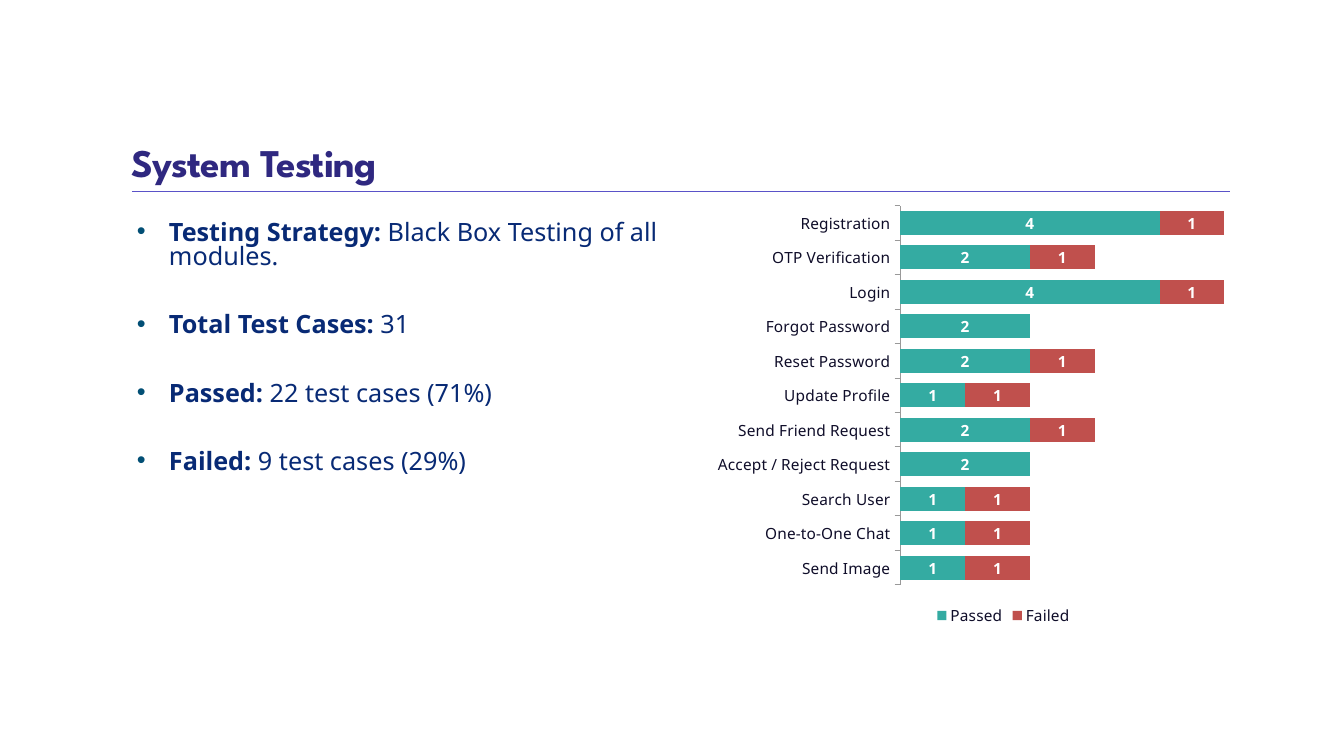
from dataclasses import dataclass

from lxml.etree import SubElement
from pptx import Presentation
from pptx.chart.data import CategoryChartData
from pptx.dml.color import RGBColor as RGB
from pptx.enum.chart import XL_CHART_TYPE as CT, XL_LABEL_POSITION as LP
from pptx.enum.chart import XL_LEGEND_POSITION as LEG, XL_TICK_MARK as TM
from pptx.enum.shapes import MSO_CONNECTOR as CONN
from pptx.enum.text import MSO_ANCHOR as ANCHOR, MSO_AUTO_SIZE as AUTO, PP_ALIGN as ALIGN
from pptx.oxml.ns import qn
from pptx.util import Emu, Pt

# Content
TITLE = "System Testing"
BULLETS = [
    ("Testing Strategy:", " Black Box Testing of all modules."),
    ("Total Test Cases:", " 31"),
    ("Passed:", " 22 test cases (71%)"),
    ("Failed:", " 9 test cases (29%)"),
]
RESULTS = [  # module, passed, failed
    ("Registration", 4, 1),
    ("OTP Verification", 2, 1),
    ("Login", 4, 1),
    ("Forgot Password", 2, 0),
    ("Reset Password", 2, 1),
    ("Update Profile", 1, 1),
    ("Send Friend Request", 2, 1),
    ("Accept / Reject Request", 2, 0),
    ("Search User", 1, 1),
    ("One-to-One Chat", 1, 1),
    ("Send Image", 1, 1),
]


@dataclass(frozen=True)
class Theme:
    head_font: str = "League Spartan"
    body_font: str = "Noto Sans"
    title: RGB = RGB(0x2F, 0x28, 0x80)
    rule: RGB = RGB(0x5A, 0x52, 0xC8)
    body: RGB = RGB(0x08, 0x2A, 0x75)
    bullet: str = "024F75"
    chart_text: RGB = RGB(0x0F, 0x0D, 0x29)
    axis: RGB = RGB(0x99, 0x99, 0x99)
    passed: RGB = RGB(0x34, 0xAB, 0xA2)
    failed: RGB = RGB(0xC0, 0x50, 0x4D)
    label: RGB = RGB(0xFF, 0xFF, 0xFF)
    title_size: Pt = Pt(28)
    body_size: Pt = Pt(18)
    chart_size: Pt = Pt(11)


T = Theme()


def px(n):
    return Emu(round(n * 914400 / 100.8))


def style(font, size, color, name, bold=False):
    font.size, font.name, font.bold = size, name, bold
    font.color.rgb = color


def add_bullet(p):
    pPr = p._p.get_or_add_pPr()
    pPr.set("marL", str(px(64)))
    pPr.set("indent", str(-px(32)))
    SubElement(SubElement(pPr, qn("a:buClr")), qn("a:srgbClr"), val=T.bullet)
    SubElement(pPr, qn("a:buFont"), typeface="Arial")
    SubElement(pPr, qn("a:buChar"), char="•")


prs = Presentation()
prs.slide_width, prs.slide_height = px(1344), px(756)
s = prs.slides.add_slide(prs.slide_layouts[5])

# Title and rule
title = s.shapes.title
title.left, title.top, title.width, title.height = px(121), px(31), px(1109), px(160)
tf = title.text_frame
tf.text = TITLE
tf.auto_size, tf.vertical_anchor = AUTO.NONE, ANCHOR.BOTTOM
p = tf.paragraphs[0]
p.alignment, p.line_spacing = ALIGN.LEFT, 0.85
r = p.runs[0]
style(r.font, T.title_size, T.title, T.head_font, True)
r.font._element.set("spc", "-50")

rule = s.shapes.add_connector(CONN.STRAIGHT, px(132), px(191), px(1230), px(191))
rule.line.color.rgb, rule.line.width = T.rule, Pt(0.5)
SubElement(rule._element.spPr, qn("a:effectLst"))

# Bullets
tf = s.shapes.add_textbox(px(105), px(217), px(656), px(474)).text_frame
tf.word_wrap = True
tf.margin_left = tf.margin_right = 0
for i, parts in enumerate(BULLETS):
    p = tf.add_paragraph() if i else tf.paragraphs[0]
    add_bullet(p)
    p.line_spacing, p.space_after = 0.8, Pt(31.5)
    for text, bold in zip(parts, (True, False)):
        r = p.add_run()
        r.text = text
        style(r.font, T.body_size, T.body, T.body_font, bold)

# Chart of results by module
modules, passed, failed = zip(*RESULTS)
data = CategoryChartData()
data.categories = modules
data.add_series("Passed", passed)
data.add_series("Failed", failed)
chart = s.shapes.add_chart(CT.BAR_STACKED, px(706), px(197), px(595), px(433), data).chart
style(chart.font, T.chart_size, T.chart_text, T.body_font)
chart.has_title = False
chart.has_legend = True
chart.legend.position, chart.legend.include_in_layout = LEG.BOTTOM, False
style(chart.legend.font, T.chart_size, T.chart_text, T.body_font)

modules_axis, count_axis = chart.category_axis, chart.value_axis
modules_axis.reverse_order = True
modules_axis.major_tick_mark = TM.OUTSIDE
modules_axis.format.line.color.rgb = T.axis
modules_axis.format.line.width = Pt(0.75)
count_axis.minimum_scale, count_axis.maximum_scale = 0, 6
count_axis.has_major_gridlines = False
count_axis.visible = False

plot = chart.plots[0]
plot.gap_width, plot.overlap, plot.vary_by_categories = 45, 100, False
for series, color in zip(plot.series, (T.passed, T.failed)):
    series.format.fill.solid()
    series.format.fill.fore_color.rgb = color
    labels = series.data_labels
    labels.show_value, labels.position = True, LP.CENTER
    labels.number_format, labels.number_format_is_linked = "0;;;", False
    style(labels.font, T.chart_size, T.label, T.body_font, True)

prs.save("out.pptx")
